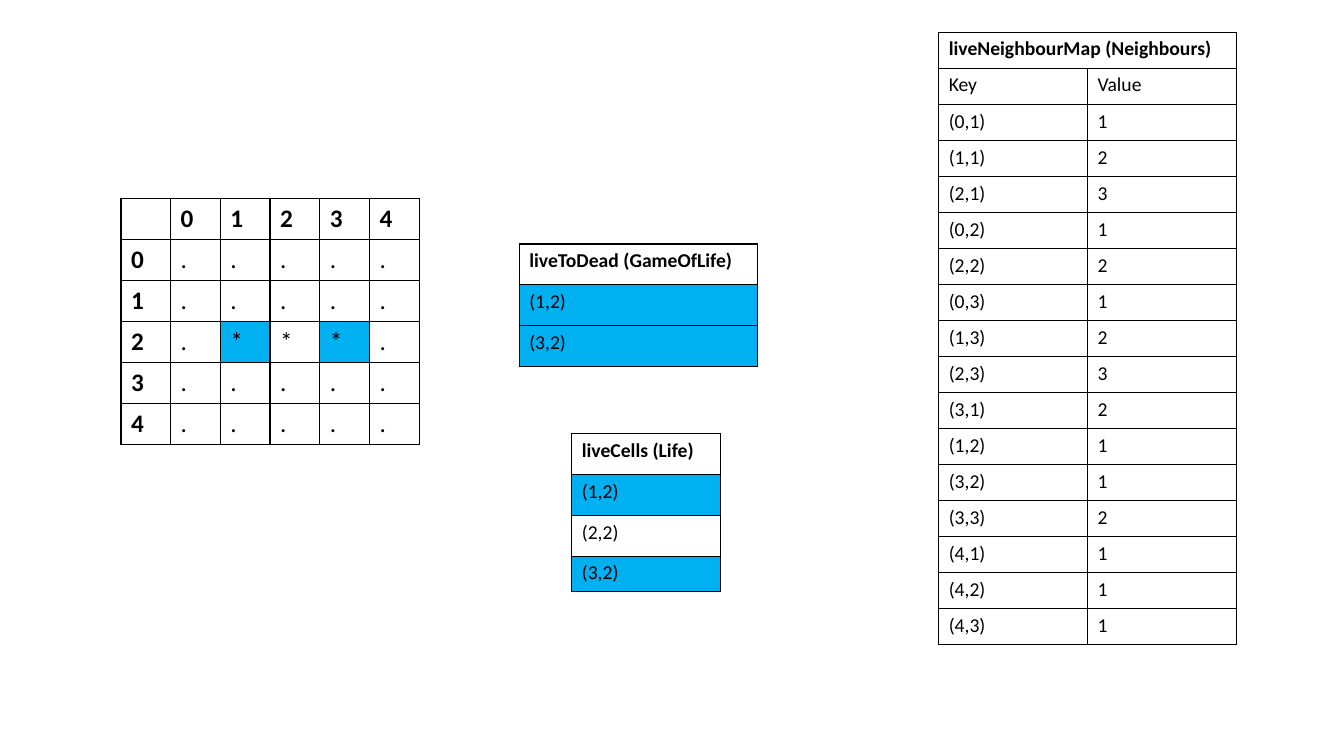
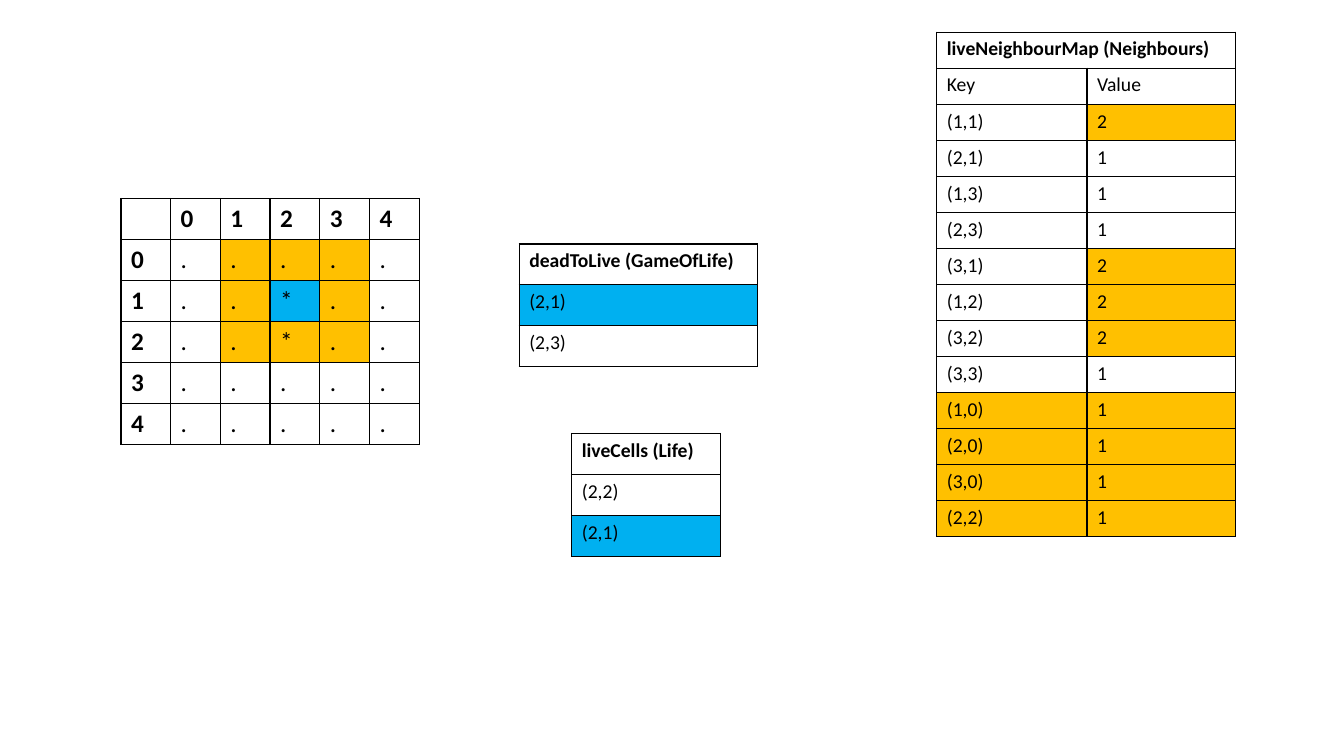
"""Build two slides that trace one generation of the Game of Life."""
import dataclasses

import lxml.etree
import pptx
import pptx.dml.color
import pptx.oxml.ns
import pptx.util


@dataclasses.dataclass(frozen=True)
class Theme:
    """Hold the colours, type and line sizes that both slides share."""
    ink: str = "000000"
    changed: str = "00B0F0"
    neighbour: str = "FFC000"
    font: str = "Calibri"
    grid_size: int = 18
    list_size: int = 14
    border: int = 1
    slide_width: float = 13.33
    slide_height: float = 7.5


@dataclasses.dataclass(frozen=True)
class Cell:
    """Describe the text and look of one table cell."""
    text: str = ""
    fill: str = ""
    bold: bool = False
    borders: str = "LRTB"


THEME = Theme()
SPACER = Cell(borders="R")
SPACER_WIDTH = 4.58
ROW_HEIGHT = 5.42
NEIGHBOUR_ROW_HEIGHT = 4.77
GRID_SIDE = 5


def across(percent):
    """Turn a percentage of the slide width into a length."""
    return pptx.util.Inches(THEME.slide_width * percent / 100)


def down(percent):
    """Turn a percentage of the slide height into a length."""
    return pptx.util.Inches(THEME.slide_height * percent / 100)


def key(x, y):
    """Write a board position the way the lists show it."""
    return f"({x},{y})"


def draw_borders(table_cell, sides):
    """Draw the named sides of a table cell and clear the others."""
    properties = table_cell._tc.get_or_add_tcPr()
    qualified = pptx.oxml.ns.qn
    for side in "LRTB":
        line = lxml.etree.SubElement(properties, qualified(f"a:ln{side}"))
        if side in sides:
            line.set("w", str(pptx.util.Pt(THEME.border)))
            fill = lxml.etree.SubElement(line, qualified("a:solidFill"))
            lxml.etree.SubElement(fill, qualified("a:srgbClr"), val=THEME.ink)
        else:
            lxml.etree.SubElement(line, qualified("a:noFill"))


def write_cell(table_cell, cell, size):
    """Put text, borders and fill into a table cell."""
    draw_borders(table_cell, cell.borders)
    if cell.fill:
        table_cell.fill.solid()
        table_cell.fill.fore_color.rgb = pptx.dml.color.RGBColor.from_string(cell.fill)
    else:
        table_cell.fill.background()
    paragraph = table_cell.text_frame.paragraphs[0]
    if not cell.text:
        tag = pptx.oxml.ns.qn("a:endParaRPr")
        lxml.etree.SubElement(paragraph._p, tag, sz=str(size * 100))
        return
    paragraph.text = cell.text
    font = paragraph.runs[0].font
    font.name = THEME.font
    font.size = pptx.util.Pt(size)
    font.bold = cell.bold
    font.color.rgb = pptx.dml.color.RGBColor.from_string(THEME.ink)


def add_cells(slide, left, top, widths, heights, rows, size):
    """Add a table of cells and return it."""
    frame = slide.shapes.add_table(
        len(rows), len(widths), across(left), down(top),
        across(sum(widths)), down(sum(heights)))
    table = frame.table
    table.first_row = False
    table.horz_banding = False
    for column, width in zip(table.columns, widths):
        column.width = across(width)
    for row, height in zip(table.rows, heights):
        row.height = down(height)
    for row, cells in zip(table.rows, rows):
        for table_cell, cell in zip(row.cells, cells):
            write_cell(table_cell, cell, size)
    return table


def add_board(slide, live, fills):
    """Add the board with its numbered header row and column."""
    numbers = range(GRID_SIDE)
    rows = [[Cell()] + [Cell(str(x), bold=True) for x in numbers]]
    for y in numbers:
        squares = [Cell("*" if key(x, y) in live else ".", fills.get(key(x, y), ""))
                   for x in numbers]
        rows.append([Cell(str(y), bold=True)] + squares)
    count = GRID_SIDE + 1
    add_cells(slide, 9, 26.27, [3.7] * count, [ROW_HEIGHT] * count, rows, THEME.grid_size)


def list_rows(title, keys, changed):
    """Make a bold title row and a row for each key."""
    return [[Cell(title, bold=True)]] + [
        [Cell(name, THEME.changed if name in changed else "")] for name in keys]


def add_transition_list(slide, title, keys, changed):
    """Add the list of cells that change state."""
    rows = list_rows(title, keys, changed)
    add_cells(slide, 38.63, 32.27, [17.75], [ROW_HEIGHT] * len(rows), rows, THEME.list_size)


def add_live_list(slide, keys, changed, last_height=ROW_HEIGHT):
    """Add the list of live cells beside its empty column."""
    rows = [[SPACER] + row for row in list_rows("liveCells (Life)", keys, changed)]
    heights = [ROW_HEIGHT] * len(keys) + [last_height]
    add_cells(slide, 37.96, 57.33, [SPACER_WIDTH, 11.07], heights, rows, THEME.list_size)


def add_neighbour_map(slide, left, widths, counts, touched=(), spacer=False):
    """Add the neighbour counts, marking touched values and new keys."""
    rows = [[Cell("liveNeighbourMap (Neighbours)", bold=True), Cell()],
            [Cell("Key"), Cell("Value")]]
    for name, count in counts.items():
        value_fill = THEME.neighbour if name in touched else ""
        key_fill = value_fill if count == 1 else ""
        rows.append([Cell(name, key_fill), Cell(str(count), value_fill)])
    if spacer:
        rows = [[SPACER] + row for row in rows]
        widths = [SPACER_WIDTH] + widths
    heights = [NEIGHBOUR_ROW_HEIGHT] * len(rows)
    table = add_cells(slide, left, 4.27, widths, heights, rows, THEME.list_size)
    last = len(widths) - 1
    table.cell(0, last - 1).merge(table.cell(0, last))


def build_deaths(slide):
    """Show the live cells that die."""
    live = ["(1,2)", "(2,2)", "(3,2)"]
    dying = ["(1,2)", "(3,2)"]
    counts = {"(0,1)": 1, "(1,1)": 2, "(2,1)": 3, "(0,2)": 1, "(2,2)": 2,
              "(0,3)": 1, "(1,3)": 2, "(2,3)": 3, "(3,1)": 2, "(1,2)": 1,
              "(3,2)": 1, "(3,3)": 2, "(4,1)": 1, "(4,2)": 1, "(4,3)": 1}
    add_board(slide, live, dict.fromkeys(dying, THEME.changed))
    add_transition_list(slide, "liveToDead (GameOfLife)", dying, dying)
    add_neighbour_map(slide, 69.84, [11.07, 11.07], counts)
    add_live_list(slide, live, dying, last_height=4.67)


def build_births(slide):
    """Show a dead cell that comes alive and the neighbours it touches."""
    live = ["(2,2)", "(2,1)"]
    born = ["(2,1)"]
    touched = [key(x, y) for y in range(3) for x in range(1, 4) if key(x, y) not in born]
    counts = {"(1,1)": 2, "(2,1)": 1, "(1,3)": 1, "(2,3)": 1, "(3,1)": 2, "(1,2)": 2,
              "(3,2)": 2, "(3,3)": 1, "(1,0)": 1, "(2,0)": 1, "(3,0)": 1, "(2,2)": 1}
    fills = dict.fromkeys(touched, THEME.neighbour) | dict.fromkeys(born, THEME.changed)
    add_neighbour_map(slide, 65.12, [11.18, 11.07], counts, touched, spacer=True)
    add_board(slide, live, fills)
    add_transition_list(slide, "deadToLive (GameOfLife)", ["(2,1)", "(2,3)"], born)
    add_live_list(slide, live, born)


def main():
    """Build and save the presentation."""
    presentation = pptx.Presentation()
    presentation.slide_width = across(100)
    presentation.slide_height = down(100)
    blank_layout = presentation.slide_layouts[6]
    for build in (build_deaths, build_births):
        build(presentation.slides.add_slide(blank_layout))
    presentation.save("out.pptx")


main()
